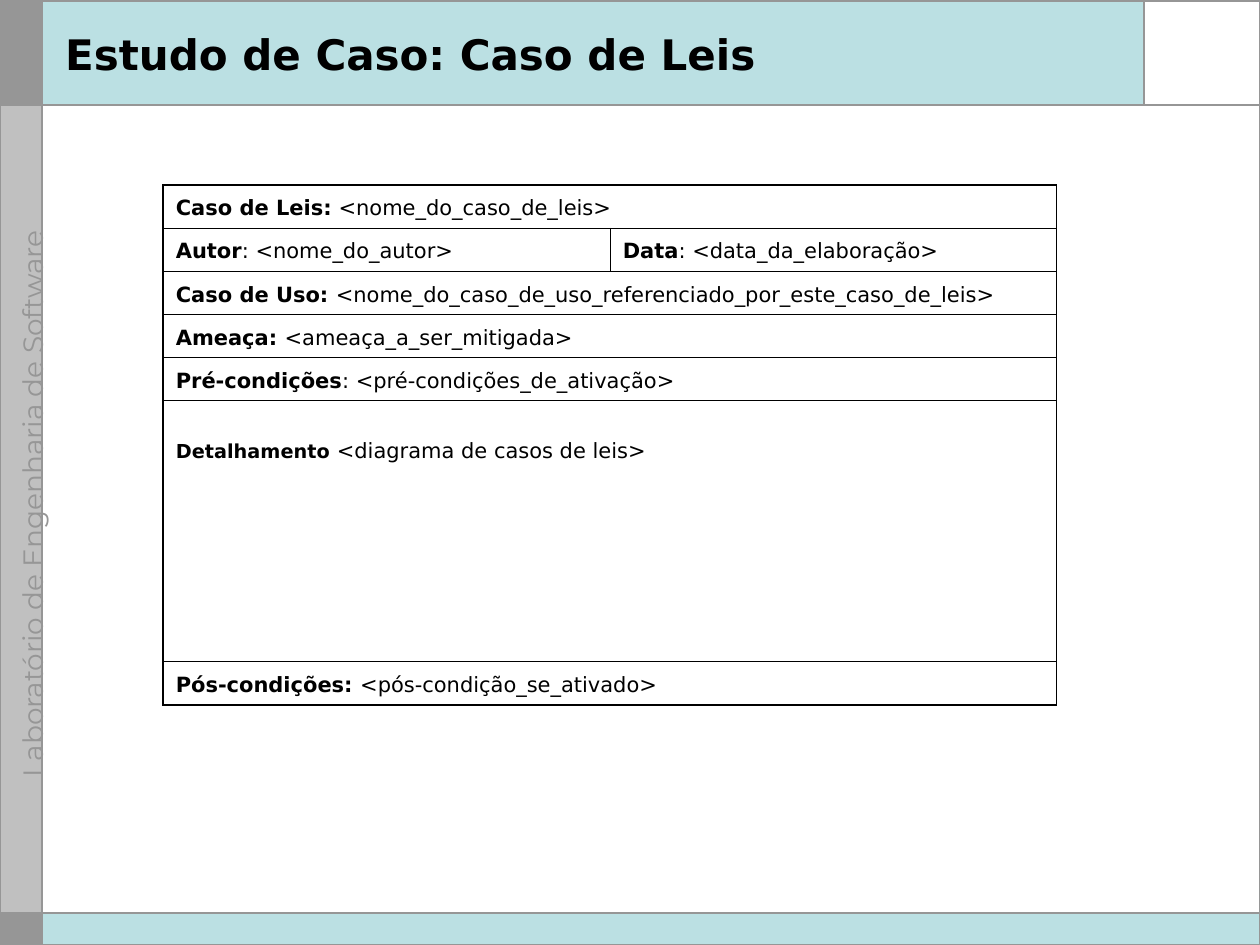
import pptx
import pptx.dml.color
import pptx.enum.shapes
import pptx.enum.text
import pptx.oxml
import pptx.oxml.ns
import pptx.util
from dataclasses import dataclass

Cm = pptx.util.Cm
Pt = pptx.util.Pt


@dataclass(frozen=True)
class Theme:
    """Colours, fonts and type sizes of the slide."""
    ink: str = "000000"
    paper: str = "FFFFFF"
    band: str = "BBE0E3"
    grey: str = "969696"
    rail: str = "C0C0C0"
    font: str = "DejaVu Sans"
    rail_font: str = "Montserrat"
    title_size: float = 24
    rail_size: float = 16
    cell_size: float = 12
    small_size: float = 11
    thin: float = 0.45
    thick: float = 1.08
    frame_line: float = 0.99
    block_line: float = 0.74


THEME = Theme()

FORM = [
    [("Caso de Leis:", " <nome_do_caso_de_leis>")],
    [("Autor", ": <nome_do_autor>"), ("Data", ": <data_da_elaboração>")],
    [("Caso de Uso: ", "<nome_do_caso_de_uso_referenciado_por_este_caso_de_leis>")],
    [("Ameaça: ", "<ameaça_a_ser_mitigada>")],
    [("Pré-condições", ": <pré-condições_de_ativação>")],
    [("Detalhamento ", "<diagrama de casos de leis>")],
    [("Pós-condições: ", "<pós-condição_se_ativado>")],
]
DETAIL_ROW = 5


def colour(value):
    """Turn a hex string into a colour."""
    return pptx.dml.color.RGBColor.from_string(value)


def apply(target, formats):
    """Set each attribute named in the dict."""
    for name, value in formats.items():
        setattr(target, name, value)


def add_span(para, text, size, ink=THEME.ink, font=THEME.font, bold=False):
    """Add a formatted run to a paragraph."""
    span = para.add_run()
    span.text = text
    apply(span.font, {"size": Pt(size), "name": font, "bold": bold})
    span.font.color.rgb = colour(ink)


def add_block(slide, place, fill=None, line=None, width=THEME.block_line):
    """Add a rectangle with optional fill and outline."""
    kind = pptx.enum.shapes.MSO_SHAPE.RECTANGLE
    block = slide.shapes.add_shape(kind, *map(Cm, place))
    block.shadow.inherit = False
    if fill:
        block.fill.solid()
        block.fill.fore_color.rgb = colour(fill)
    else:
        block.fill.background()
    if line:
        block.line.color.rgb = colour(line)
        block.line.width = Pt(width)
    else:
        block.line.fill.background()


def add_rule(slide, ends):
    """Add a straight grey line."""
    kind = pptx.enum.shapes.MSO_CONNECTOR.STRAIGHT
    rule = slide.shapes.add_connector(kind, *map(Cm, ends))
    rule.line.color.rgb = colour(THEME.grey)
    rule.line.width = Pt(THEME.frame_line)
    properties = rule.element.find(pptx.oxml.ns.qn("p:spPr"))
    properties.append(pptx.oxml.parse_xml(
        f"<a:effectLst {pptx.oxml.ns.nsdecls('a')}/>"))


def add_rail_label(slide, text):
    """Add the vertical label along the left rail, on one line."""
    box = slide.shapes.add_textbox(Cm(-5.59), Cm(9.93), Cm(12), Cm(0.46))
    box.rotation = 270
    box.text_frame.word_wrap = False
    para = box.text_frame.paragraphs[0]
    para.alignment = pptx.enum.text.PP_ALIGN.CENTER
    add_span(para, text, THEME.rail_size, THEME.grey, THEME.rail_font)


def add_frame(slide):
    """Draw the bands, the rail and their dividing lines."""
    wide, high, rail, head, foot, corner = 25.4, 19.05, 0.84, 2.11, 18.41, 23.06
    add_block(slide, (0.02, 0.02, rail, head), THEME.grey, THEME.grey)
    add_block(slide, (rail, 0, wide - rail, head), THEME.band)
    add_block(slide, (0.02, head, rail, foot - head), THEME.rail, THEME.rail)
    add_block(slide, (corner, 0, wide - corner, head), THEME.paper)
    add_block(slide, (rail, foot, wide - rail, high - foot), THEME.band)
    add_rail_label(slide, "Laboratório de Engenharia de Software")
    add_block(slide, (0.02, foot, rail, high - foot), THEME.grey, THEME.grey)
    for ends in ((corner, 0, corner, head), (0, head, wide, head),
                 (rail, 0, rail, high), (0, foot, wide, foot)):
        add_rule(slide, ends)
    add_block(slide, (0, 0.02, wide, high - 0.02), None, THEME.grey, THEME.frame_line)


def set_title(slide, text):
    """Fill the title placeholder and bring it to the front."""
    title = slide.shapes.title
    apply(title, {"left": Cm(1.06), "top": Cm(0.3),
                  "width": Cm(21.79), "height": Cm(1.57)})
    apply(title.text_frame, {
        "word_wrap": True,
        "auto_size": pptx.enum.text.MSO_AUTO_SIZE.NONE,
        "vertical_anchor": pptx.enum.text.MSO_ANCHOR.MIDDLE})
    para = title.text_frame.paragraphs[0]
    para.alignment = pptx.enum.text.PP_ALIGN.LEFT
    add_span(para, text, THEME.title_size, bold=True)
    slide.shapes.element.append(title.element)


def set_borders(cell, widths):
    """Give a cell solid borders, in points by side."""
    properties = cell._tc.get_or_add_tcPr()
    for side in "LRTB":
        properties.append(pptx.oxml.parse_xml(
            f'<a:ln{side} {pptx.oxml.ns.nsdecls("a")} w="{int(Pt(widths[side]))}">'
            f'<a:solidFill><a:srgbClr val="{THEME.ink}"/></a:solidFill>'
            f'</a:ln{side}>'))


def fill_cell(cell, label, value, detail):
    """Write a bold label and its plain value."""
    if detail:
        cell.margin_top = Cm(0.67)
    para = cell.text_frame.paragraphs[0]
    apply(para, {"line_spacing": 1.2, "space_before": Pt(3)})
    label_size = THEME.small_size if detail else THEME.cell_size
    add_span(para, label, label_size, bold=True)
    add_span(para, value, THEME.cell_size)


def add_form(slide, form):
    """Build the form table, merging rows that hold one field."""
    last = len(form) - 1
    graphic = slide.shapes.add_table(len(form), 2, Cm(3.29), Cm(3.73), Cm(18.01), Cm(10.46))
    table = graphic.table
    apply(table, {"first_row": False, "horz_banding": False})
    for column, width in zip(table.columns, (9.01, 9)):
        column.width = Cm(width)
    for index, fields in enumerate(form):
        detail = index == DETAIL_ROW
        table.rows[index].height = Cm(5.26 if detail else 0.87)
        merged = len(fields) == 1
        for side in range(2):
            cell = table.cell(index, side)
            outer = {"L": merged or side == 0, "R": merged or side == 1,
                     "T": index == 0, "B": index == last}
            set_borders(cell, {edge: THEME.thick if heavy else THEME.thin
                               for edge, heavy in outer.items()})
            cell.fill.background()
        if merged:
            table.cell(index, 0).merge(table.cell(index, 1))
        for side, (label, value) in enumerate(fields):
            fill_cell(table.cell(index, side), label, value, detail)


def main():
    """Build and save the slide."""
    deck = pptx.Presentation()
    apply(deck, {"slide_width": Cm(25.4), "slide_height": Cm(19.05)})
    slide = deck.slides.add_slide(deck.slide_layouts.get_by_name("Title Only"))
    add_frame(slide)
    set_title(slide, "Estudo de Caso: Caso de Leis")
    add_form(slide, FORM)
    deck.save("out.pptx")


main()
